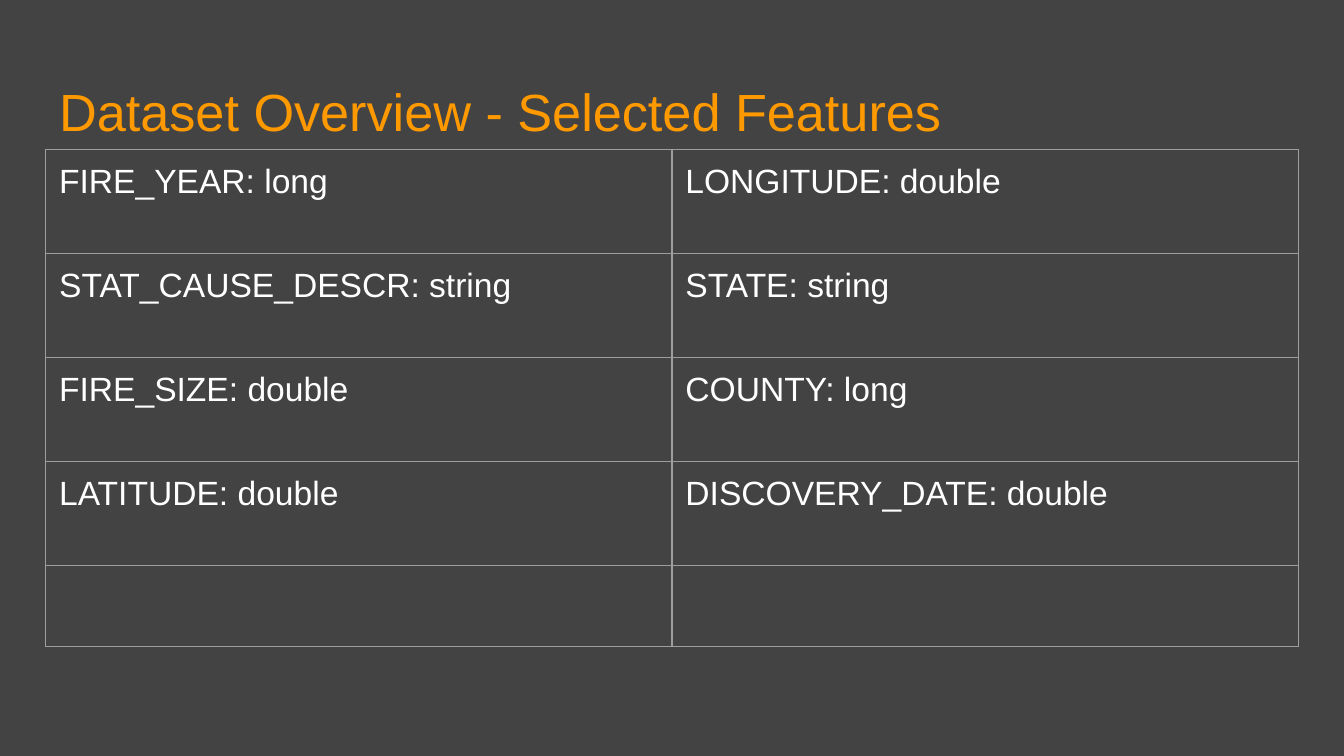
from dataclasses import dataclass

from lxml.etree import SubElement
from pptx import Presentation
from pptx.dml.color import RGBColor as RGB
from pptx.enum.text import MSO_ANCHOR as Anchor, PP_ALIGN as Align
from pptx.oxml.ns import qn
from pptx.util import Inches, Pt


@dataclass(frozen=True)
class Theme:
    back: str = "434343"
    head: str = "FF9900"
    text: str = "FFFFFF"
    line: str = "9E9E9E"
    font: str = "Arial"
    big: int = 28
    body: int = 18
    rule: float = 0.75


THEME = Theme()
WIDE = 10
HIGH = WIDE * 9 / 16
ROWS = [
    ("FIRE_YEAR: long", "LONGITUDE: double"),
    ("STAT_CAUSE_DESCR: string", "STATE: string"),
    ("FIRE_SIZE: double", "COUNTY: long"),
    ("LATITUDE: double", "DISCOVERY_DATE: double"),
    ("", ""),
]
TALL, SHORT = 3.1 / 4, 0.6


def add_run(para, text, size, color):
    run = para.add_run()
    run.text = text
    run.font.name = THEME.font
    run.font.size = Pt(size)
    run.font.color.rgb = RGB.from_string(color)


def add_title(slide, box, text):
    title = slide.shapes.title
    title.left, title.top, title.width, title.height = map(Inches, box)
    frame = title.text_frame
    frame.word_wrap = True
    frame.vertical_anchor = Anchor.TOP
    frame.margin_left = frame.margin_right = Inches(0.1)
    frame.margin_top = frame.margin_bottom = Inches(0.1)
    para = frame.paragraphs[0]
    para.alignment = Align.LEFT
    add_run(para, text, THEME.big, THEME.head)


def add_edges(cell):
    props = cell._tc.get_or_add_tcPr()
    for side in ("a:lnL", "a:lnR", "a:lnT", "a:lnB"):
        edge = SubElement(props, qn(side), w=str(Pt(THEME.rule)))
        fill = SubElement(edge, qn("a:solidFill"))
        SubElement(fill, qn("a:srgbClr"), val=THEME.line)


def fill_cell(cell, text):
    add_edges(cell)
    cell.fill.background()
    cell.margin_left = cell.margin_right = cell.margin_top = Inches(0.1)
    cell.margin_bottom = 0
    para = cell.text_frame.paragraphs[0]
    if text:
        para.space_after = Pt(16)
        add_run(para, text, THEME.body, THEME.text)


def add_grid(slide, box, rows):
    count = len(rows[0])
    grid = slide.shapes.add_table(len(rows), count, *map(Inches, box)).table
    grid.first_row = grid.horz_banding = False
    for col in grid.columns:
        col.width = Inches(box[2] / count)
    for r, row in enumerate(rows):
        grid.rows[r].height = Inches(TALL if any(row) else SHORT)
        for c, text in enumerate(row):
            fill_cell(grid.cell(r, c), text)


def main():
    deck = Presentation()
    deck.slide_width, deck.slide_height = Inches(WIDE), Inches(HIGH)
    slide = deck.slides.add_slide(deck.slide_layouts[5])
    back = slide.background.fill
    back.solid()
    back.fore_color.rgb = RGB.from_string(THEME.back)
    add_title(slide, (0.34, 0.49, 9.32, 0.63),
              "Dataset Overview - Selected Features")
    add_grid(slide, (0.34, 1.11, 9.32, 4 * TALL + SHORT), ROWS)
    deck.save("out.pptx")


if __name__ == "__main__":
    main()
